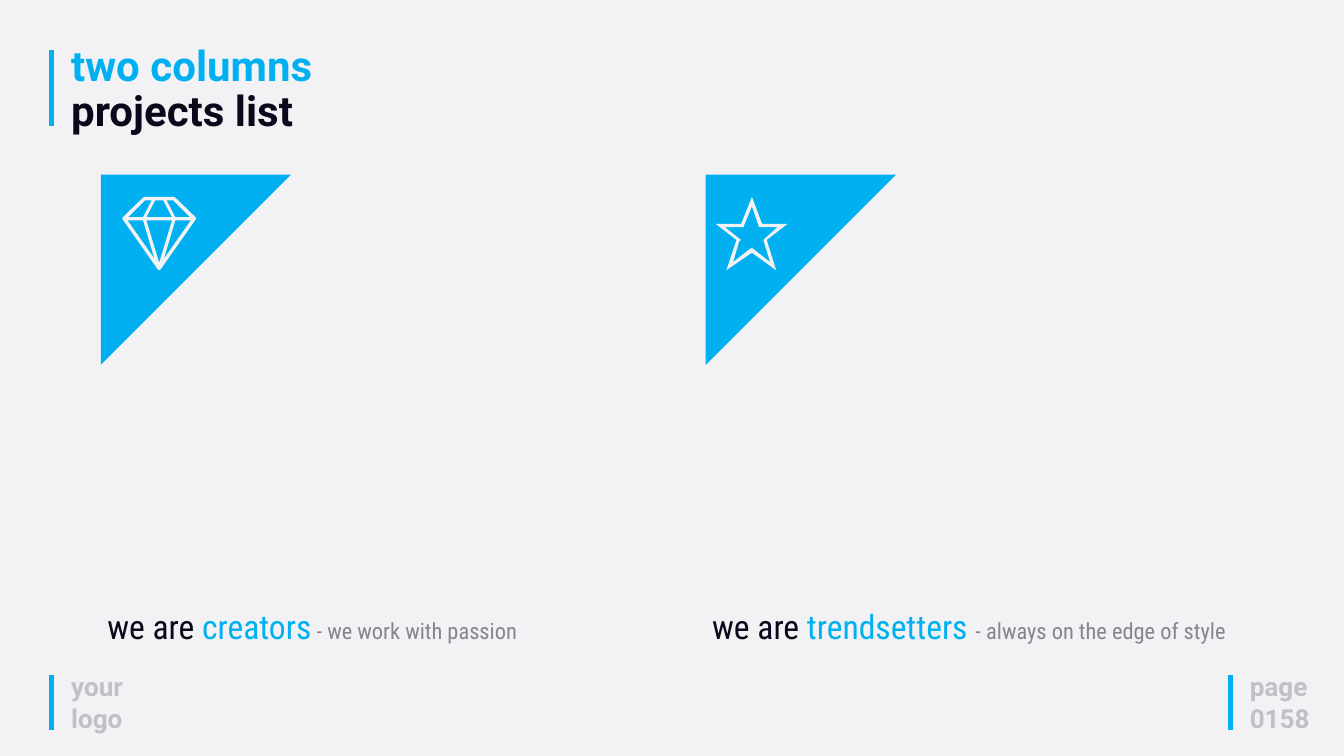
import pptx
import pptx.util
from lxml import etree
from pptx.dml.color import RGBColor
from pptx.enum.shapes import MSO_CONNECTOR, MSO_SHAPE
from pptx.enum.text import MSO_ANCHOR, MSO_AUTO_SIZE, PP_ALIGN
from pptx.oxml.ns import qn

Pt = pptx.util.Pt

COLORS = {
    "background": "F2F2F5",
    "accent": "00B0F0",
    "dark": "0A091B",
    "muted": "858591",
    "footer": "C0C0C8",
}
HEADING = {"name": "Roboto", "size": Pt(45), "bold": True}
FOOTER = {"name": "Roboto", "size": Pt(28), "bold": True}
LEAD = {"name": "Roboto Condensed", "size": Pt(36)}
DETAIL = {"name": "Roboto Condensed", "size": Pt(24)}

# Icon contours, in units of 0.72 pt: the outline first, then its holes.
ICON_UNIT = 0.72
DIAMOND = [
    [(109, 30), (79, 1), (77, 0), (33, 0), (31, 1), (1, 30), (0, 32),
     (1, 34), (53, 108), (55, 109), (57, 108), (109, 34), (110, 32)],
    [(76, 5), (101, 30), (79, 30), (66, 5)],
    [(61, 5), (74, 30), (36, 30), (49, 5)],
    [(34, 5), (44, 5), (31, 30), (9, 30)],
    [(8, 35), (31, 35), (48, 92)],
    [(55, 98), (36, 35), (74, 35)],
    [(62, 92), (79, 35), (102, 35)],
]
STAR = [
    [(107, 40), (69, 40), (54, 0), (38, 40), (0, 40), (31, 64), (16, 109),
     (54, 83), (90, 109), (76, 64)],
    [(81, 97), (57, 78), (54, 76), (50, 78), (26, 97), (35, 66), (38, 64),
     (35, 62), (14, 45), (42, 45), (42, 43), (54, 14), (64, 43), (64, 45),
     (92, 45), (73, 62), (71, 64)],
]
COLUMNS = [
    (DIAMOND, 23, [("we are ", LEAD, "dark"), ("creators", LEAD, "accent"),
                   (" - we work with passion", DETAIL, "muted")]),
    (STAR, 10.8, [("we are ", LEAD, "dark"), ("trendsetters ", LEAD, "accent"),
                  ("- always on the edge of style", DETAIL, "muted")]),
]


def color(name):
    return RGBColor.from_string(COLORS[name])


def fill_plain(shape, name):
    shape.shadow.inherit = False
    shape.fill.solid()
    shape.fill.fore_color.rgb = color(name)
    shape.line.fill.background()


def add_run(paragraph, text, font_format, color_name):
    run = paragraph.add_run()
    run.text = text
    for attribute, value in font_format.items():
        setattr(run.font, attribute, value)
    run.font.color.rgb = color(color_name)


def add_text(slide, box, paragraphs):
    """Add a text box; each paragraph is a list of (text, format, color)."""
    frame = slide.shapes.add_textbox(*map(Pt, box)).text_frame
    frame.word_wrap = True
    frame.auto_size = MSO_AUTO_SIZE.SHAPE_TO_FIT_TEXT
    for index, runs in enumerate(paragraphs):
        paragraph = frame.add_paragraph() if index else frame.paragraphs[0]
        for run in runs:
            add_run(paragraph, *run)


def add_bar(slide, x, top, height):
    bar = slide.shapes.add_connector(
        MSO_CONNECTOR.STRAIGHT, Pt(x), Pt(top), Pt(x), Pt(top + height))
    bar.line.color.rgb = color("accent")
    bar.line.width = Pt(5)
    etree.SubElement(bar.element.spPr, qn("a:effectLst"))


def add_title(slide, box):
    left, top, width, height = box
    add_bar(slide, left - 13.7, top + 9.4, 81.4)
    title = slide.shapes.title
    title.left, title.top, title.width, title.height = map(Pt, box)
    frame = title.text_frame
    frame.word_wrap = True
    frame.auto_size = MSO_AUTO_SIZE.SHAPE_TO_FIT_TEXT
    frame.vertical_anchor = MSO_ANCHOR.TOP
    paragraph = frame.paragraphs[0]
    paragraph.alignment = PP_ALIGN.LEFT
    paragraph.line_spacing = 0.9
    add_run(paragraph, "two columns", HEADING, "accent")
    paragraph.add_line_break()
    add_run(paragraph, "projects list", HEADING, "dark")


def add_footer(slide, box, lines):
    left, top, width, height = box
    add_bar(slide, left - 13.7, top + 8.7, 58.3)
    add_text(slide, box, [[(line, FOOTER, "footer")] for line in lines])


def add_icon(shapes, left, top, contours):
    outline, *holes = contours
    builder = shapes.build_freeform(*outline[0], scale=Pt(ICON_UNIT))
    builder.add_line_segments(outline[1:], close=True)
    for hole in holes:
        builder.move_to(*hole[0])
        builder.add_line_segments(hole[1:], close=True)
    fill_plain(builder.convert_to_shape(Pt(left), Pt(top)), "background")


def add_column(slide, box, contours, icon_left, caption):
    """Add a corner triangle with an icon, and a caption along the bottom."""
    left, top, width, height = box
    corner, caption_height = 203.8, 51.1
    group = slide.shapes.add_group_shape()
    triangle = group.shapes.add_shape(
        MSO_SHAPE.RIGHT_TRIANGLE, Pt(left), Pt(top), Pt(corner), Pt(corner))
    triangle.rotation = 90
    fill_plain(triangle, "accent")
    add_icon(group.shapes, left + icon_left, top + 23.8, contours)
    add_text(slide, (left, top + height - caption_height, width, caption_height),
             [caption])


def main():
    presentation = pptx.Presentation()
    presentation.slide_width, presentation.slide_height = Pt(1440), Pt(810)
    slide = presentation.slides.add_slide(presentation.slide_layouts[5])
    slide.background.fill.solid()
    slide.background.fill.fore_color.rgb = color("background")

    add_title(slide, (69.1, 44.6, 429.1, 105.1))
    add_footer(slide, (69.1, 714.9, 85.7, 74.9), ["your logo"])
    add_footer(slide, (1332, 714.9, 136.8, 74.9), ["page", "0158"])
    for index, column in enumerate(COLUMNS):
        add_column(slide, (108 + 648 * index, 187.2, 576, 509), *column)

    presentation.save("out.pptx")


if __name__ == "__main__":
    main()
